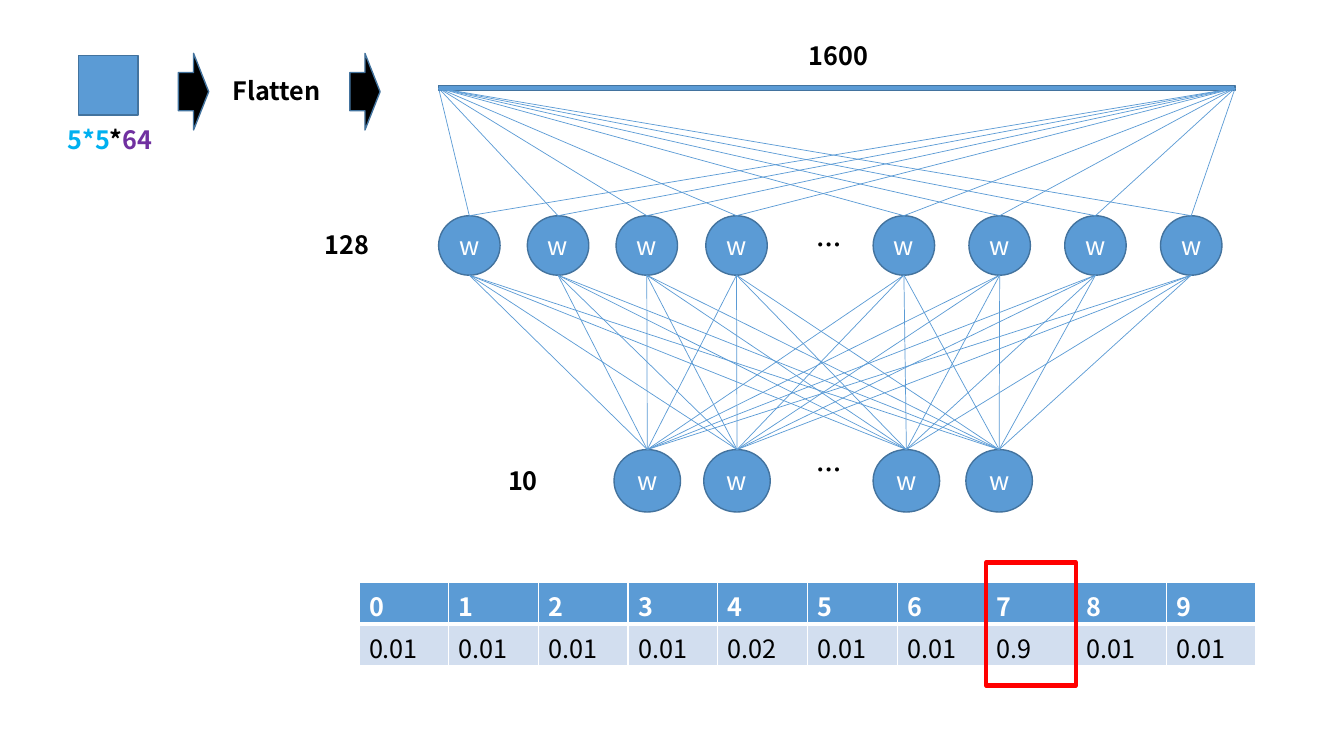
import pptx
import pptx.util
import pptx.dml.color
import pptx.enum.shapes
import pptx.enum.text
import pptx.oxml.xmlchemy

RGB = pptx.dml.color.RGBColor
SHAPE = pptx.enum.shapes.MSO_SHAPE
STRAIGHT = pptx.enum.shapes.MSO_CONNECTOR.STRAIGHT
ALIGN = pptx.enum.text.PP_ALIGN
ANCHOR = pptx.enum.text.MSO_ANCHOR
AUTO_SIZE = pptx.enum.text.MSO_AUTO_SIZE
new_element = pptx.oxml.xmlchemy.OxmlElement

BLUE = RGB(0x5B, 0x9B, 0xD5)
OUTLINE = RGB(0x43, 0x73, 0x9E)
PALE = RGB(0xD2, 0xDE, 0xEF)
SKY = RGB(0x00, 0xB0, 0xF0)
PURPLE = RGB(0x70, 0x30, 0xA0)
RED = RGB(0xFF, 0x00, 0x00)
BLACK = RGB(0x00, 0x00, 0x00)
WHITE = RGB(0xFF, 0xFF, 0xFF)
FONT = "Noto Sans CJK KR"
FONT_SIZE = 18

# Content: lengths in px, 100 to the inch
LABELS = [  # left, top, width, runs
    (57, 118, 129, [("5*5", SKY), ("*", BLACK), ("64", PURPLE)]),
    (792, 35, 129, [("1600", BLACK)]),
    (221, 70, 129, [("Flatten", BLACK)]),
    (312, 223, 71, [("128", BLACK)]),
    (800, 223, 71, [("…", BLACK)]),
    (800, 446, 71, [("…", BLACK)]),
    (494, 457, 71, [("10", BLACK)]),
]
FEATURE_MAP = (78, 55, 59, 59)
FLAT_LAYER = (435, 85, 790, 5)
ARROW_LEFTS = [177, 347]
HIDDEN_LEFTS = [435 + 265 * i // 3 for i in range(4)] + [866 + 95 * i for i in range(4)]
OUTPUT_LEFTS = [609, 698, 866, 958]
PROBABILITIES = ["0.01", "0.01", "0.01", "0.01", "0.02", "0.01", "0.01", "0.9", "0.01", "0.01"]
TABLE_BOX = (356, 578, 890, 82)
PREDICTION = (978, 558, 89, 122)


def px(length):
    return pptx.util.Emu(length * 9144)


def add_span(para, text, color, bold=False):
    span = para.add_run()
    span.text = text
    span.font.size = pptx.util.Pt(FONT_SIZE)
    span.font.bold = bold
    span.font.color.rgb = color
    span.font.name = FONT
    east_asian = new_element("a:ea")
    east_asian.set("typeface", FONT)
    span.font._element.append(east_asian)


def add_figure(page, kind, box, fill, line=OUTLINE, width=1):
    figure = page.shapes.add_shape(kind, *map(px, box))
    figure.shadow.inherit = False
    if fill is None:
        figure.fill.background()
    else:
        figure.fill.solid()
        figure.fill.fore_color.rgb = fill
    figure.line.color.rgb = line
    figure.line.width = pptx.util.Pt(width)
    return figure


def add_label(page, left, top, width, runs):
    box = page.shapes.add_textbox(px(left), px(top), px(width), px(40))
    box.text_frame.word_wrap = True
    box.text_frame.auto_size = AUTO_SIZE.SHAPE_TO_FIT_TEXT
    for text, color in runs:
        add_span(box.text_frame.paragraphs[0], text, color, bold=True)


def add_neurons(page, lefts, top, width, height):
    neurons = []
    for left in lefts:
        neuron = add_figure(page, SHAPE.OVAL, (left, top, width, height), BLUE)
        frame = neuron.text_frame
        frame.margin_left = frame.margin_right = frame.margin_top = frame.margin_bottom = 0
        frame.vertical_anchor = ANCHOR.MIDDLE
        frame.paragraphs[0].alignment = ALIGN.CENTER
        add_span(frame.paragraphs[0], "w", WHITE)
        neurons.append(neuron)
    return neurons


def add_link(page, start_x, start_y, neuron):
    link = page.shapes.add_connector(STRAIGHT, start_x, start_y, start_x, start_y)
    link.end_connect(neuron, 0)
    link.line.color.rgb = BLUE
    link.line.width = pptx.util.Pt(0.5)
    link._element.spPr.append(new_element("a:effectLst"))
    return link


def set_borders(cell, bottom_width):
    properties = cell._tc.get_or_add_tcPr()
    widths = {"a:lnL": 1, "a:lnR": 1, "a:lnT": 1, "a:lnB": bottom_width}
    for position, (tag, width) in enumerate(widths.items()):
        border = new_element(tag)
        border.set("w", str(int(pptx.util.Pt(width))))
        fill = new_element("a:solidFill")
        color = new_element("a:srgbClr")
        color.set("val", str(WHITE))
        fill.append(color)
        border.append(fill)
        properties.insert(position, border)


def add_probability_table(page):
    digits = [str(digit) for digit in range(len(PROBABILITIES))]
    rows = [(digits, BLUE, WHITE, True, 3), (PROBABILITIES, PALE, BLACK, False, 1)]
    left, top, width, height = map(px, TABLE_BOX)
    table = page.shapes.add_table(len(rows), len(digits), left, top, width, height).table
    for row, (texts, fill, color, bold, bottom_width) in enumerate(rows):
        for column, text in enumerate(texts):
            cell = table.cell(row, column)
            cell.fill.solid()
            cell.fill.fore_color.rgb = fill
            add_span(cell.text_frame.paragraphs[0], text, color, bold)
            set_borders(cell, bottom_width)


def main():
    deck = pptx.Presentation()
    deck.slide_width, deck.slide_height = px(1333), px(750)
    page = deck.slides.add_slide(deck.slide_layouts[6])

    # Feature map, flattened layer and labels
    add_figure(page, SHAPE.RECTANGLE, FEATURE_MAP, BLUE)
    flat_layer = add_figure(page, SHAPE.RECTANGLE, FLAT_LAYER, BLUE)
    for left in ARROW_LEFTS:
        add_figure(page, SHAPE.RIGHT_ARROW, (left, 53, 30, 76), BLACK)
    for label in LABELS:
        add_label(page, *label)

    # Dense layers
    hidden = add_neurons(page, HIDDEN_LEFTS, 214, 61, 59)
    output = add_neurons(page, OUTPUT_LEFTS, 446, 66, 62)

    # Links from both ends of the flattened layer
    for side in (1, 3):
        for neuron in hidden:
            link = add_link(page, flat_layer.left, flat_layer.top, neuron)
            link.begin_connect(flat_layer, side)

    # Links between the dense layers
    for source in hidden:
        for target in output:
            add_link(page, source.left + source.width // 2, source.top + source.height, target)

    # Class probabilities with the predicted digit framed
    add_probability_table(page)
    add_figure(page, SHAPE.RECTANGLE, PREDICTION, None, RED, 3)

    deck.save("out.pptx")


if __name__ == "__main__":
    main()
